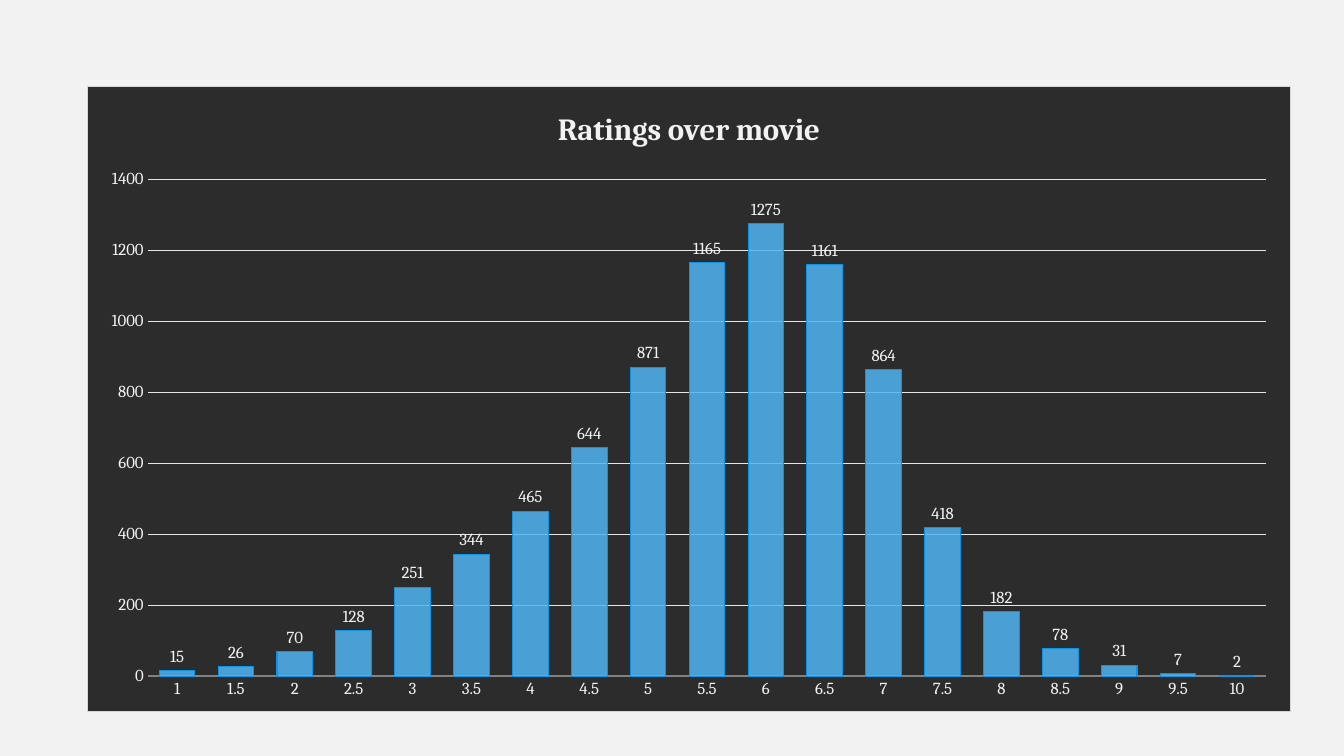
"""Build a slide with a dark column chart of movie counts by rating."""
from lxml import etree
from pptx import Presentation
from pptx.chart.data import CategoryChartData
from pptx.dml.color import RGBColor
from pptx.enum.chart import XL_CHART_TYPE, XL_LABEL_POSITION, XL_TICK_MARK
from pptx.oxml import parse_xml
from pptx.oxml.ns import nsdecls, qn
from pptx.util import Pt

COLUMNS = XL_CHART_TYPE.COLUMN_CLUSTERED
ABOVE = XL_LABEL_POSITION.OUTSIDE_END
NO_TICK = XL_TICK_MARK.NONE
PX = 914400 / 100.8
PALE = "F2F2F2"


def px(*lengths):
    return [round(length * PX) for length in lengths]


def paint(color_format, hex_color):
    color_format.rgb = RGBColor.from_string(hex_color)


deck = Presentation()
deck.slide_width, deck.slide_height = px(1344, 756)
slide = deck.slides.add_slide(deck.slide_layouts[6])
slide.background.fill.solid()
paint(slide.background.fill.fore_color, PALE)

counts = [15, 26, 70, 128, 251, 344, 465, 644, 871, 1165,
          1275, 1161, 864, 418, 182, 78, 31, 7, 2]
ratings = CategoryChartData()
ratings.categories = [f"{1 + step / 2:g}" for step in range(len(counts))]
ratings.add_series("Series 1", counts)
chart = slide.shapes.add_chart(COLUMNS, *px(87, 86, 1204, 626), ratings).chart
chart.has_legend = False

chart.has_title = True
heading = chart.chart_title.text_frame
heading.text = "Ratings over movie"

plot = chart.plots[0]
plot.gap_width = 65
plot.vary_by_categories = False
plot.has_data_labels = True
labels = plot.data_labels
labels.show_value = True
labels.position = ABOVE

rating_axis, count_axis = chart.category_axis, chart.value_axis
count_axis.minimum_scale = 0
count_axis.maximum_scale = 1400
count_axis.major_unit = 200
count_axis.has_major_gridlines = True
for axis in (rating_axis, count_axis):
    axis.major_tick_mark = axis.minor_tick_mark = NO_TICK

for font, size, bold in [
    (chart.font, 10, False),
    (heading.paragraphs[0].runs[0].font, 22, True),
    (labels.font, 12, False),
    (rating_axis.tick_labels.font, 12, False),
    (count_axis.tick_labels.font, 12, False),
]:
    for attribute, setting in {"name": "Cambria", "size": Pt(size), "bold": bold}.items():
        setattr(font, attribute, setting)
    paint(font.color, PALE)

bars = plot.series[0].format
bars.fill.solid()
paint(bars.fill.fore_color, "50B4F2")
bar_color = bars.fill._xPr.find(qn("a:solidFill"))[0]
etree.SubElement(bar_color, qn("a:alpha"), val="85000")

for line, color, width in [
    (bars.line, "1191E1", 0.75),
    (rating_axis.format.line, "828282", 1.5),
    (count_axis.major_gridlines.format.line, "E6E6E6", 0.75),
]:
    paint(line.color, color)
    line.width = Pt(width)
count_axis.format.line.fill.background()

panel = parse_xml(
    f'<c:spPr {nsdecls("c", "a")}>'
    '<a:solidFill><a:srgbClr val="2C2C2C"/></a:solidFill>'
    f'<a:ln w="{Pt(0.75)}"><a:solidFill><a:srgbClr val="D6D6D6"/></a:solidFill></a:ln>'
    '</c:spPr>')
chart._chartSpace.find(qn("c:txPr")).addprevious(panel)

deck.save("out.pptx")
